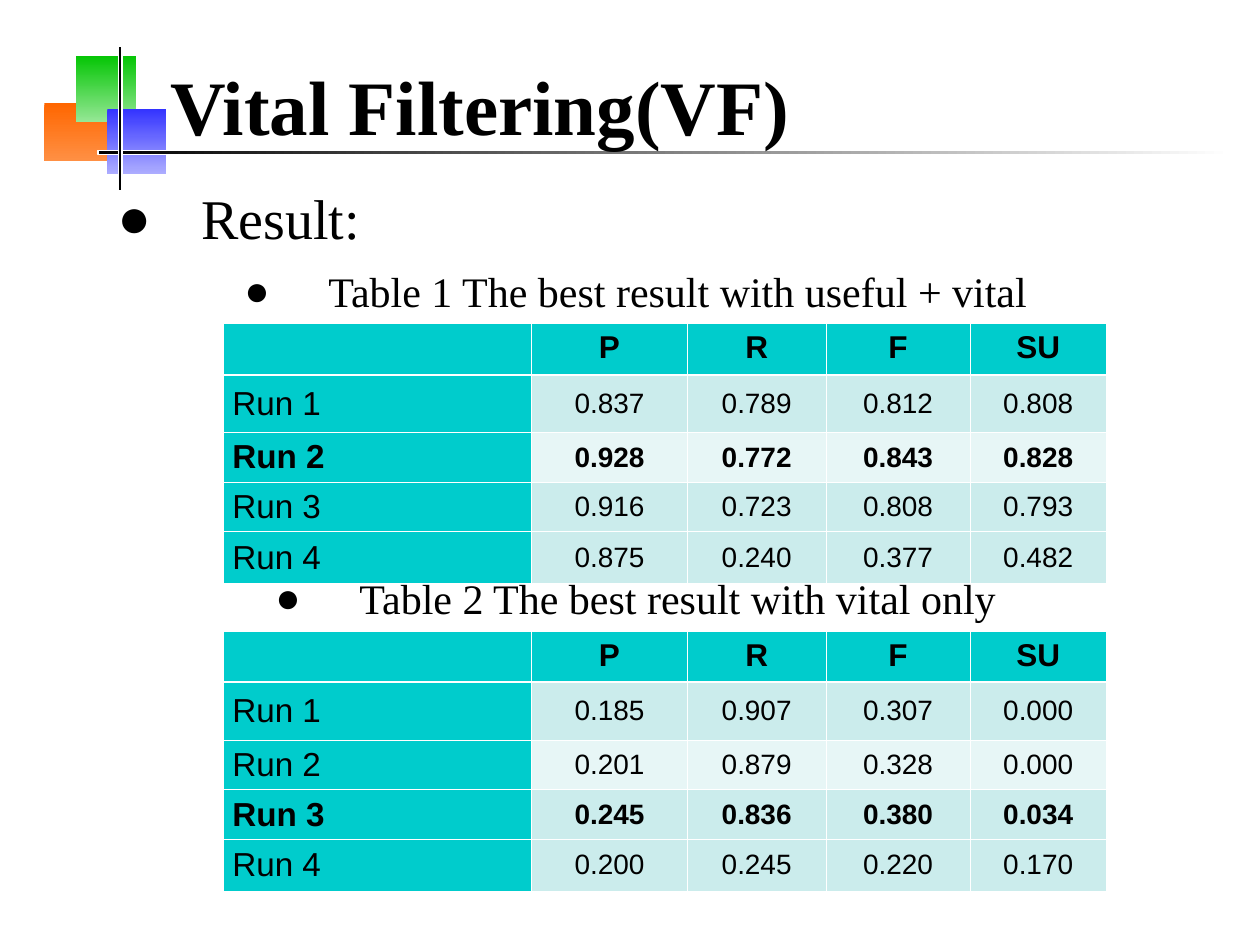
from lxml.etree import SubElement
from pptx import Presentation
from pptx.dml.color import RGBColor
from pptx.enum.shapes import MSO_SHAPE
from pptx.enum.text import MSO_ANCHOR, MSO_AUTO_SIZE, PP_ALIGN
from pptx.oxml.ns import qn
from pptx.util import Pt

BLACK = RGBColor(0x00, 0x00, 0x00)
WHITE = RGBColor(0xFF, 0xFF, 0xFF)
ORANGE = RGBColor(0xFF, 0x66, 0x00)
LIGHT_ORANGE = RGBColor(0xFF, 0x90, 0x44)
GREEN = RGBColor(0x06, 0xC6, 0x06)
LIGHT_GREEN = RGBColor(0x95, 0xE7, 0x95)
BLUE = RGBColor(0x33, 0x33, 0xFF)
LIGHT_BLUE = RGBColor(0xAD, 0xAD, 0xFF)
TEAL = RGBColor(0x00, 0xCC, 0xCC)
BAND = RGBColor(0xCB, 0xEC, 0xEC)
PALE_BAND = RGBColor(0xE7, 0xF6, 0xF6)

SERIF, SANS = "Times New Roman", "Arial"
TITLE = "Vital Filtering(VF)"
BULLETS = [
    ("Result:", 32, PP_ALIGN.LEFT, 8, 0.9),
    ("Table 1 The best result with useful + vital", 24, PP_ALIGN.CENTER, 8, 1.0),
    ("Table 2 The best result with vital only", 24, PP_ALIGN.CENTER, 146.5, 1.0),
]
HEADER = ["", "P", "R", "F", "SU"]
TABLES = [
    {"top": 185, "best": "Run 2", "rows": [
        ["Run 1", "0.837", "0.789", "0.812", "0.808"],
        ["Run 2", "0.928", "0.772", "0.843", "0.828"],
        ["Run 3", "0.916", "0.723", "0.808", "0.793"],
        ["Run 4", "0.875", "0.240", "0.377", "0.482"],
    ]},
    {"top": 360.7, "best": "Run 3", "rows": [
        ["Run 1", "0.185", "0.907", "0.307", "0.000"],
        ["Run 2", "0.201", "0.879", "0.328", "0.000"],
        ["Run 3", "0.245", "0.836", "0.380", "0.034"],
        ["Run 4", "0.200", "0.245", "0.220", "0.170"],
    ]},
]
TABLE_LEFT = 127.4
COL_WIDTHS = [176.4, 89, 79.2, 82.4, 77.8]
ROW_HEIGHTS = [26, 33, 27.5, 26, 29.5]
DECOR = [
    ((25.4, 59, 44, 33.2), (ORANGE, LIGHT_ORANGE), 270, None),
    ((43.3, 32.2, 34.5, 37.6), (GREEN, LIGHT_GREEN), 270, None),
    ((61.4, 62.2, 33.4, 37.2), (BLUE, LIGHT_BLUE), 270, None),
    ((56, 86.2, 648, 2), (BLACK, WHITE), 0, WHITE),
    ((67.6, 26.6, 2.2, 82.6), (BLACK, BLACK), 0, WHITE),
]


def place(shape, left, top, width, height):
    box = {"left": left, "top": top, "width": width, "height": height}
    for name, value in box.items():
        setattr(shape, name, Pt(value))


def add_text(p, text, size, font, bold=False):
    r = p.add_run()
    r.text = text
    for name, value in {"size": Pt(size), "name": font, "bold": bold}.items():
        setattr(r.font, name, value)
    r.font.color.rgb = BLACK


def add_bullet(p, indent):
    pPr = p._p.get_or_add_pPr()
    pPr.set("marL", str(Pt(indent)))
    pPr.set("indent", str(-Pt(indent)))
    color = SubElement(pPr, qn("a:buClr"))
    SubElement(color, qn("a:srgbClr"), val=str(BLACK))
    SubElement(pPr, qn("a:buFont"), typeface=SANS)
    SubElement(pPr, qn("a:buChar"), char="●")


def add_borders(cell, widths):
    tcPr = cell._tc.get_or_add_tcPr()
    for side, width in widths.items():
        ln = SubElement(tcPr, qn("a:ln" + side), w=str(Pt(width)))
        SubElement(SubElement(ln, qn("a:solidFill")), qn("a:srgbClr"), val=str(WHITE))


def add_decor(s):
    for i, (box, colors, angle, line) in enumerate(DECOR):
        sp = s.shapes.add_shape(MSO_SHAPE.RECTANGLE, *map(Pt, box))
        sp.shadow.inherit = False
        if colors[0] == colors[1]:
            sp.fill.solid()
            sp.fill.fore_color.rgb = colors[0]
        else:
            sp.fill.gradient()
            sp.fill.gradient_angle = angle
            for stop, color in zip(sp.fill.gradient_stops, colors):
                stop.color.rgb = color
        if line is None:
            sp.line.fill.background()
        else:
            sp.line.color.rgb = line
            sp.line.width = Pt(0.75)
        s.shapes._spTree.insert(2 + i, sp._element)


def add_results(s, top, best, rows):
    data = [HEADER] + rows
    frame = s.shapes.add_table(len(data), len(HEADER), Pt(TABLE_LEFT), Pt(top),
                               Pt(sum(COL_WIDTHS)), Pt(sum(ROW_HEIGHTS)))
    table = frame.table
    for column, width in zip(table.columns, COL_WIDTHS):
        column.width = Pt(width)
    for i, values in enumerate(data):
        table.rows[i].height = Pt(ROW_HEIGHTS[i])
        for j, value in enumerate(values):
            cell = table.cell(i, j)
            add_borders(cell, {"L": 0.45, "R": 0.45,
                               "T": 1.47 if i == 1 else 0.45,
                               "B": 1.47 if i == 0 else 0.45})
            cell.fill.solid()
            is_label = i == 0 or j == 0
            cell.fill.fore_color.rgb = TEAL if is_label else PALE_BAND if i == 2 else BAND
            margin = Pt(5.4 if is_label else 0.7)
            layout = {"margin_left": margin, "margin_right": margin,
                      "margin_top": Pt(3.6), "margin_bottom": Pt(3.6),
                      "vertical_anchor": MSO_ANCHOR.MIDDLE if i else MSO_ANCHOR.TOP}
            for name, setting in layout.items():
                setattr(cell, name, setting)
            p = cell.text_frame.paragraphs[0]
            p.alignment = PP_ALIGN.CENTER if j else PP_ALIGN.LEFT
            if value:
                size = 18 if i == 0 else 16 if j else 19
                add_text(p, value, size, SANS, i == 0 or values[0] == best)


def main():
    prs = Presentation()
    prs.slide_width, prs.slide_height = Pt(720), Pt(540)
    s = prs.slides.add_slide(prs.slide_layouts[1])
    add_decor(s)

    title, body = s.shapes.title, s.placeholders[1]
    place(title, 90, 20.2, 612, 79.2)
    place(body, 59.8, 105.8, 607, 396.7)
    for shape, anchor in ((title, MSO_ANCHOR.MIDDLE), (body, MSO_ANCHOR.TOP)):
        tf = shape.text_frame
        tf.word_wrap = True
        tf.auto_size = MSO_AUTO_SIZE.NONE
        tf.vertical_anchor = anchor

    p = title.text_frame.paragraphs[0]
    p.alignment = PP_ALIGN.LEFT
    add_text(p, TITLE, 44, SERIF, True)

    tf = body.text_frame
    for i, (text, size, align, before, spacing) in enumerate(BULLETS):
        p = tf.add_paragraph() if i else tf.paragraphs[0]
        layout = {"alignment": align, "space_before": Pt(before), "line_spacing": spacing}
        for name, value in layout.items():
            setattr(p, name, value)
        add_bullet(p, 48)
        add_text(p, text, size, SERIF)

    for results in TABLES:
        add_results(s, **results)
    prs.save("out.pptx")


if __name__ == "__main__":
    main()
